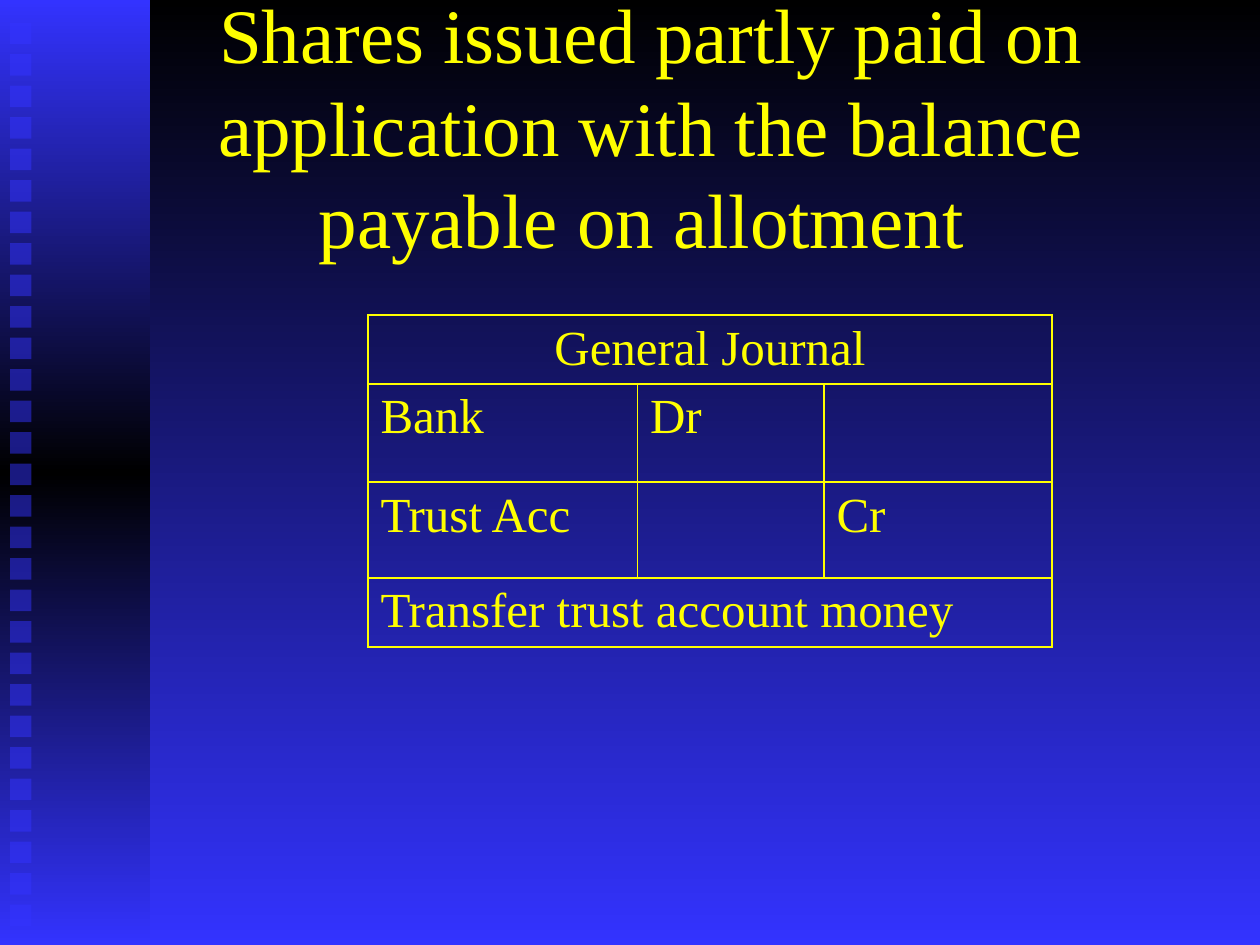
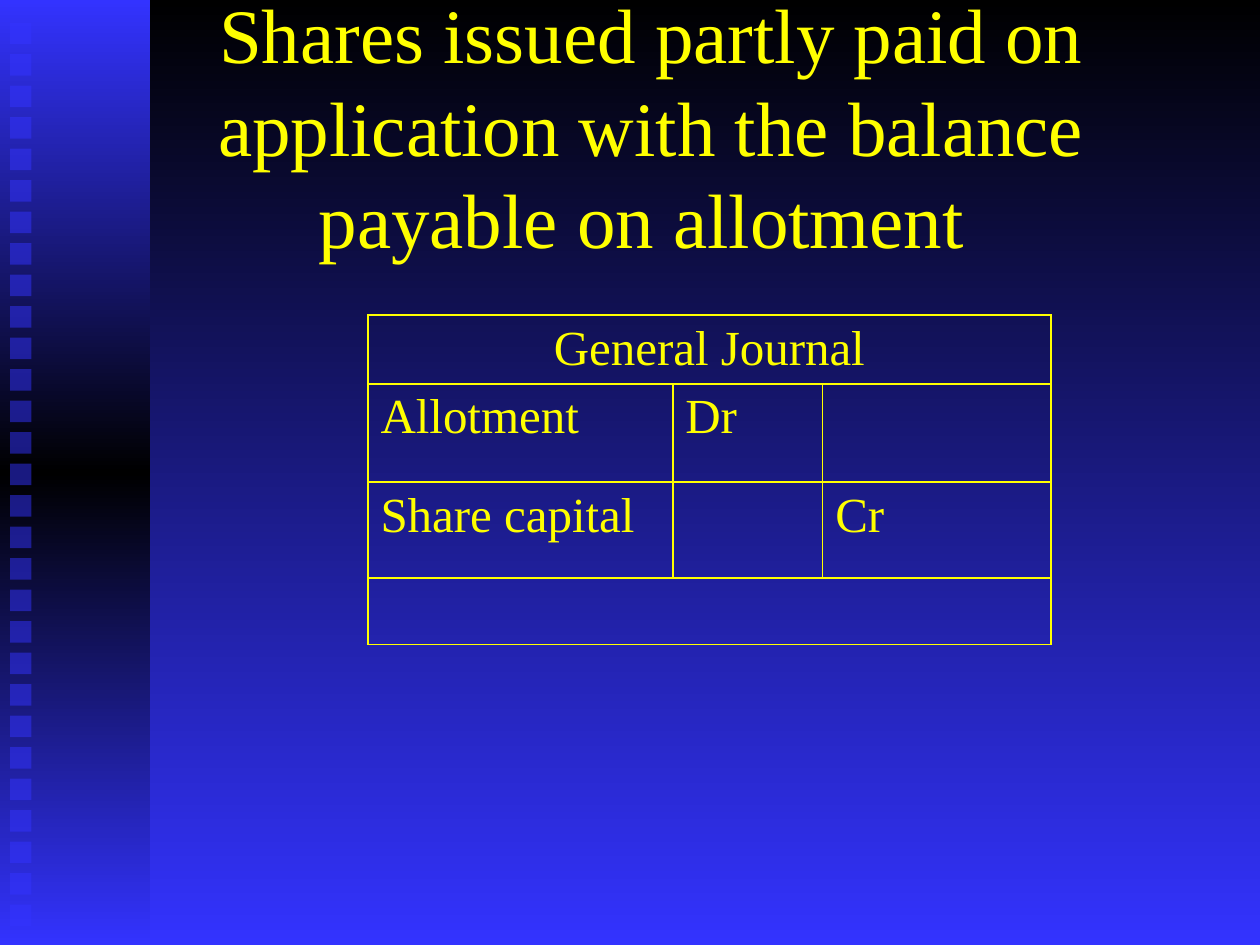
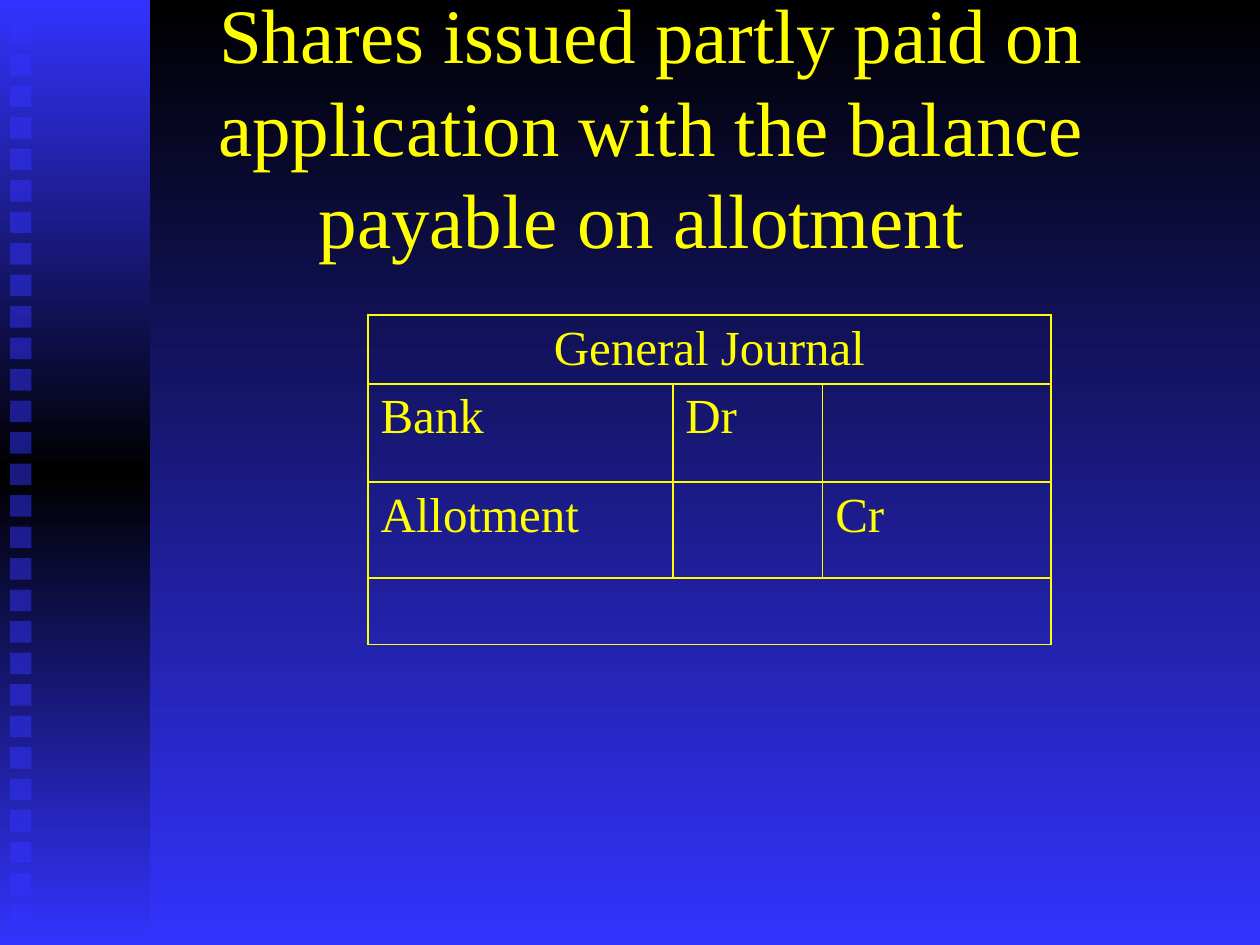
"""Build three slides of general journal entries for shares issued partly paid."""
import copy

import lxml.etree
import pptx
import pptx.dml.color
import pptx.enum.shapes
import pptx.enum.text
import pptx.oxml.ns
import pptx.util

PX = pptx.util.Inches(1) // 100
FONT = "Times New Roman"
BLUE, BLACK, YELLOW = "3333FF", "000000", "FFFF00"
TITLE = "Shares issued partly paid on application with the balance payable on allotment "
ROW_HEIGHTS = [53, 78, 76, 53]
JOURNALS = [
    ([214, 148, 181], "Bank", "Trust Acc", "Transfer trust account money"),
    ([242, 119, 181], "Allotment", "Share capital", ""),
    ([242, 119, 181], "Bank", "Allotment", ""),
]
qn = pptx.oxml.ns.qn


def rgb(value):
    return pptx.dml.color.RGBColor.from_string(value)


def write(tf, text, size=28, color=YELLOW, align="LEFT"):
    p = tf.paragraphs[0]
    p.alignment = getattr(pptx.enum.text.PP_ALIGN, align)
    r = p.add_run()
    r.text = text
    r.font.name = FONT
    r.font.size = pptx.util.Pt(size)
    r.font.color.rgb = rgb(color)


prs = pptx.Presentation()
prs.slide_width, prs.slide_height = 1000 * PX, 750 * PX
RECT = pptx.enum.shapes.MSO_SHAPE.RECTANGLE

fill = prs.slide_master.background.fill
fill.gradient()
fill.gradient_angle = 270
for stop, color in zip(fill.gradient_stops, [BLACK, BLUE]):
    stop.color.rgb = rgb(color)

for widths, debit, credit, narration in JOURNALS:
    s = prs.slides.add_slide(prs.slide_layouts[6])

    side = s.shapes.add_group_shape()
    band = side.shapes.add_shape(RECT, 0, 0, 119 * PX, 750 * PX)
    band.shadow.inherit = False
    band.line.fill.background()
    band.fill.gradient()
    band.fill.gradient_angle = 270
    stops = band._element.find(".//" + qn("a:gsLst"))
    middle = copy.deepcopy(stops[0])
    middle.set("pos", "50000")
    stops.insert(1, middle)
    for stop, color in zip(band.fill.gradient_stops, [BLUE, BLACK, BLUE]):
        stop.color.rgb = rgb(color)

    for i in range(29):
        square = side.shapes.add_shape(RECT, 8 * PX, (18 + 25 * i) * PX, 17 * PX, 17 * PX)
        square.shadow.inherit = False
        square.line.fill.background()
        square.fill.solid()
        square.fill.fore_color.rgb = rgb(BLUE)
        clr = square._element.spPr.find(".//" + qn("a:srgbClr"))
        lxml.etree.SubElement(clr, qn("a:alpha"), val="50000")

    sp = s.shapes.add_textbox(92 * PX, 33 * PX, 850 * PX, 133 * PX)
    tf = sp.text_frame
    tf.word_wrap = True
    tf.vertical_anchor = pptx.enum.text.MSO_ANCHOR.MIDDLE
    write(tf, TITLE, size=44, align="CENTER")

    rows = [
        ["General Journal", "", ""],
        [debit, "Dr", ""],
        [credit, "", "Cr"],
        [narration, "", ""],
    ]
    table = s.shapes.add_table(
        4, 3, 292 * PX, 250 * PX, sum(widths) * PX, sum(ROW_HEIGHTS) * PX
    ).table
    table.first_row = table.horz_banding = False
    for column, width in zip(table.columns, widths):
        column.width = width * PX
    for row, height in zip(table.rows, ROW_HEIGHTS):
        row.height = height * PX
    for i in (0, 3):
        table.cell(i, 0).merge(table.cell(i, 2))

    for i, texts in enumerate(rows):
        for j, text in enumerate(texts):
            cell = table.cell(i, j)
            cell.margin_bottom = 3 * PX
            cell.fill.background()
            tcPr = cell._tc.get_or_add_tcPr()
            for k, edge in enumerate(["a:lnL", "a:lnR", "a:lnT", "a:lnB"]):
                ln = lxml.etree.Element(qn(edge), w=str(pptx.util.Pt(1)))
                solid = lxml.etree.SubElement(ln, qn("a:solidFill"))
                lxml.etree.SubElement(solid, qn("a:srgbClr"), val=YELLOW)
                tcPr.insert(k, ln)
            if text:
                write(cell.text_frame, text, align="LEFT" if i else "CENTER")

prs.save("out.pptx")
